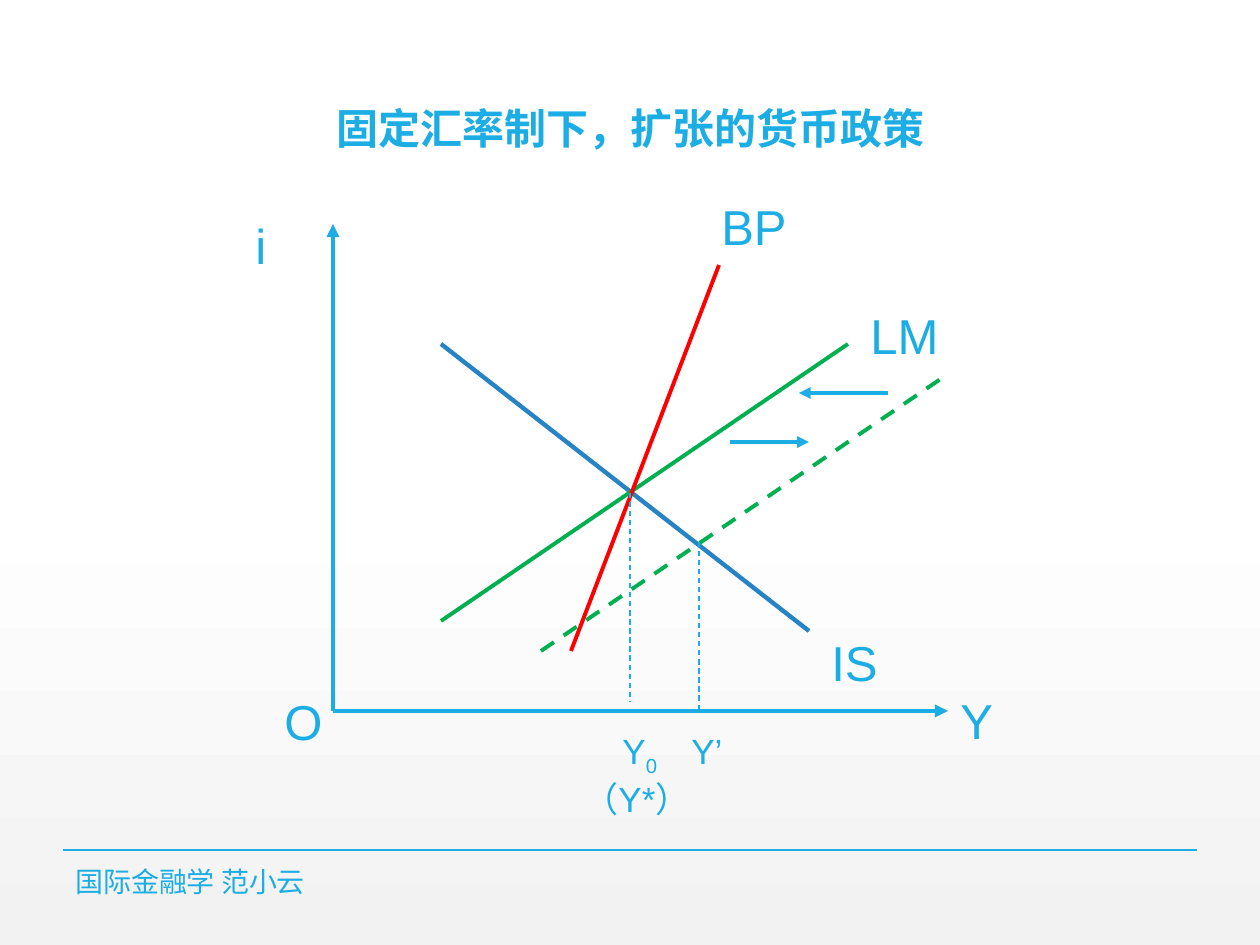
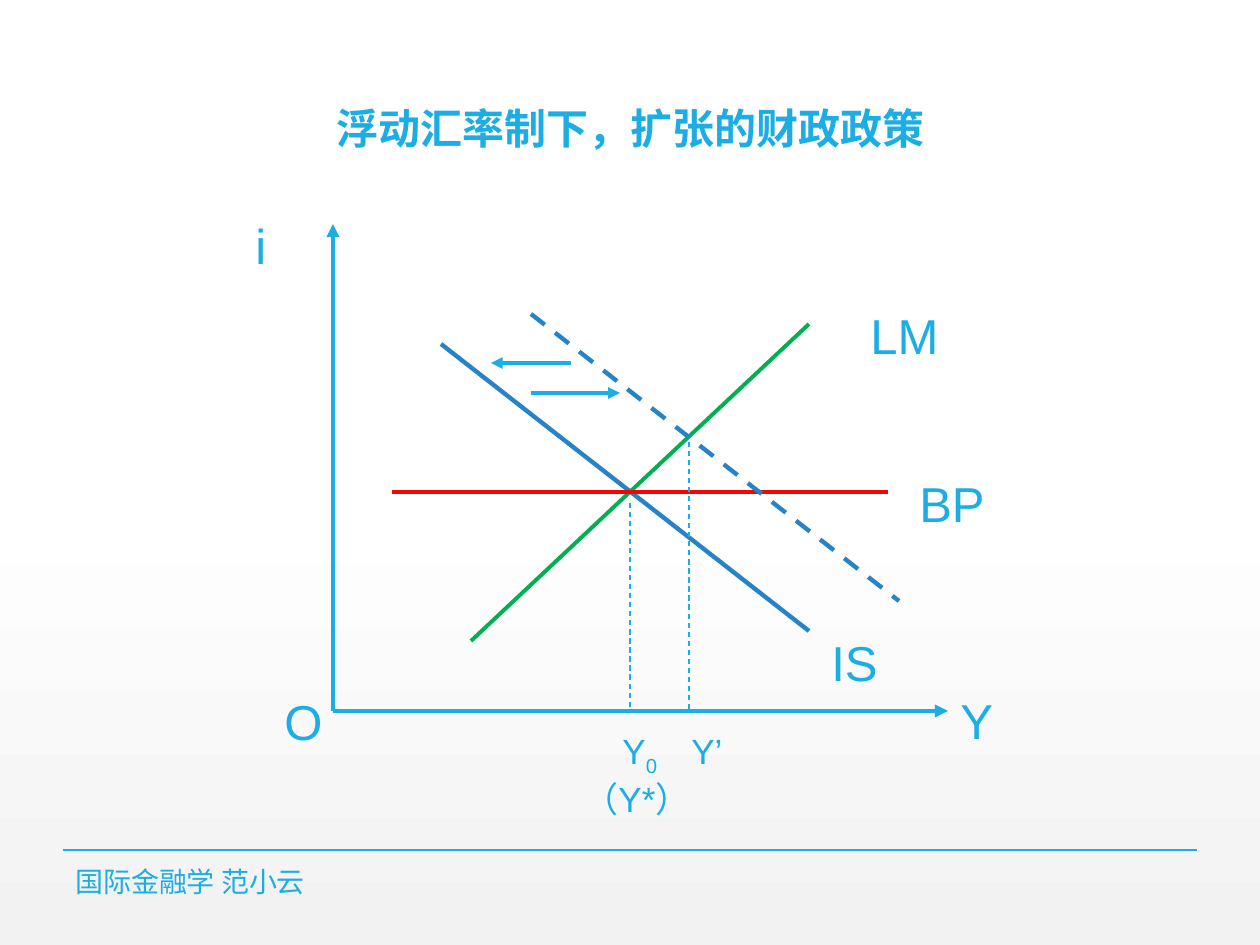
from lxml import etree
from pptx import Presentation
from pptx.dml.color import RGBColor
from pptx.enum.dml import MSO_LINE
from pptx.enum.shapes import MSO_CONNECTOR
from pptx.enum.text import MSO_ANCHOR, PP_ALIGN
from pptx.oxml.ns import qn
from pptx.util import Inches, Pt

STRAIGHT = MSO_CONNECTOR.STRAIGHT
DASH = MSO_LINE.DASH
MIDDLE, BOTTOM = MSO_ANCHOR.MIDDLE, MSO_ANCHOR.BOTTOM
CENTER = PP_ALIGN.CENTER

SKY = RGBColor(0x1C, 0xAD, 0xE4)
BLUE = RGBColor(0x26, 0x83, 0xC6)
GREEN = RGBColor(0x00, 0xB0, 0x50)
RED = RGBColor(0xFF, 0x00, 0x00)
WHITE = RGBColor(0xFF, 0xFF, 0xFF)
PALE = RGBColor(0xF2, 0xF2, 0xF2)
LATIN_FONT = "Arial"
CHINESE_FONT = "Noto Sans CJK SC"
PX_PER_INCH = 126

ORIGIN_X, ORIGIN_Y = 333, 711
IS_CURVE = (441, 344, 809, 631)


def px(length):
    return round(length * Inches(1) / PX_PER_INCH)


def shifted(curve, right, down):
    x1, y1, x2, y2 = curve
    return x1 + right, y1 + down, x2 + right, y2 + down


class Deck:
    def __init__(self):
        self.presentation = Presentation()
        self.presentation.slide_width = Inches(10)
        self.presentation.slide_height = Inches(7.5)
        fill = self.presentation.slide_master.background.fill
        fill.gradient()
        fill.gradient_angle = 270
        for stop, color, position in zip(fill.gradient_stops, (WHITE, PALE), (0.53, 1)):
            stop.color.rgb = color
            stop.position = position
        self.slide = None

    def add_slide(self, title):
        self.slide = self.presentation.slides.add_slide(self.presentation.slide_layouts[5])
        shape = self.slide.shapes.title
        shape.left, shape.top, shape.width, shape.height = map(px, (134, 3, 993, 157))
        shape.text_frame.text = title
        shape.text_frame.vertical_anchor = BOTTOM
        paragraph = shape.text_frame.paragraphs[0]
        paragraph.alignment = CENTER
        paragraph.line_spacing = 0.9
        self.format_run(paragraph.runs[0], 24, bold=True)
        self.line((63, 850, 1197, 850), SKY, 1)
        footer = self.text(["国际金融学 范小云"], 63, 866, 634, 30, 16, font=CHINESE_FONT)
        footer.margin_top = footer.margin_bottom = 0
        footer.vertical_anchor = MIDDLE

    def format_run(self, run, size, font=LATIN_FONT, bold=False):
        run.font.size = Pt(size)
        run.font.name = font
        run.font.bold = bold
        run.font.color.rgb = SKY
        properties = run.font._element
        etree.SubElement(properties, qn("a:ea")).set("typeface", CHINESE_FONT)

    def text(self, parts, left, top, width, height, size, font=LATIN_FONT):
        box = self.slide.shapes.add_textbox(*map(px, (left, top, width, height)))
        frame = box.text_frame
        frame.word_wrap = True
        paragraph = frame.paragraphs[0]
        for part in parts:
            run = paragraph.add_run()
            run.text = part
            self.format_run(run, size, font)
        return frame

    def label(self, name, left, top, width):
        frame = self.text([name], left, top, width, 72, 28)
        frame.margin_top = px(11)

    def tick_label(self, parts, left, width, height):
        frame = self.text(parts, left, 721, width, height, 20)
        frame.margin_top = px(9)
        paragraph = frame.paragraphs[0]
        paragraph._p.get_or_add_pPr().set("indent", str(px(39)))
        return paragraph

    def line(self, ends, color, width, dashed=False, arrow=False):
        connector = self.slide.shapes.add_connector(STRAIGHT, *map(px, ends))
        connector.line.color.rgb = color
        connector.line.width = Pt(width)
        if dashed:
            connector.line.dash_style = DASH
        if arrow:
            outline = connector.line._get_or_add_ln()
            etree.SubElement(outline, qn("a:tailEnd")).set("type", "triangle")
        etree.SubElement(connector._element.spPr, qn("a:effectLst"))

    def shift_arrow(self, start, end, y):
        self.line((start, y, end, y), SKY, 2.25, arrow=True)

    def drop_line(self, x, top, bottom=ORIGIN_Y):
        self.line((x, top, x, bottom), SKY, 0.75, dashed=True)

    def diagram(self, lm_curve, bp_curve, bp_label):
        self.line((ORIGIN_X, ORIGIN_Y, ORIGIN_X, 224), SKY, 2.5, arrow=True)
        self.line((ORIGIN_X, ORIGIN_Y, 948, ORIGIN_Y), SKY, 2.5, arrow=True)
        self.line(IS_CURVE, BLUE, 2.5)
        self.line(lm_curve, GREEN, 2.25)
        self.line(bp_curve, RED, 2.25)
        for name, left, top, width in (
            ("i", 243, 204, 69),
            ("Y", 948, 679, 69),
            ("LM", 858, 294, 100),
            ("BP", *bp_label, 100),
            ("IS", 819, 621, 89),
            ("O", 272, 680, 69),
        ):
            self.label(name, left, top, width)

    def output_labels(self, new_output_width):
        paragraph = self.tick_label(["Y", "0", "（Y*）"], 571, 149, 97)
        paragraph.runs[1].font._element.set("baseline", "-25000")
        self.tick_label(["Y’"], 640, new_output_width, 54)


def monetary_slide(deck):
    lm_curve = (441, 621, 848, 344)
    deck.add_slide("固定汇率制下，扩张的货币政策")
    deck.diagram(lm_curve, (719, 265, 571, 651), (709, 185))
    deck.line(shifted(lm_curve, 100, 30), GREEN, 2.25, dashed=True)
    deck.shift_arrow(730, 809, 442)
    deck.shift_arrow(888, 799, 393)
    deck.drop_line(630, 493, 701)
    deck.drop_line(699, 542)
    deck.output_labels(149)


def fiscal_slide(deck):
    deck.add_slide("浮动汇率制下，扩张的财政政策")
    deck.diagram((471, 641, 809, 324), (888, 492, 392, 492), (907, 462))
    deck.line(shifted(IS_CURVE, 90, -30), BLUE, 2.5, dashed=True)
    deck.shift_arrow(531, 620, 393)
    deck.shift_arrow(571, 491, 363)
    deck.drop_line(689, 442)
    deck.drop_line(630, 503)
    deck.output_labels(100)


def main():
    deck = Deck()
    monetary_slide(deck)
    fiscal_slide(deck)
    deck.presentation.save("out.pptx")


if __name__ == "__main__":
    main()
